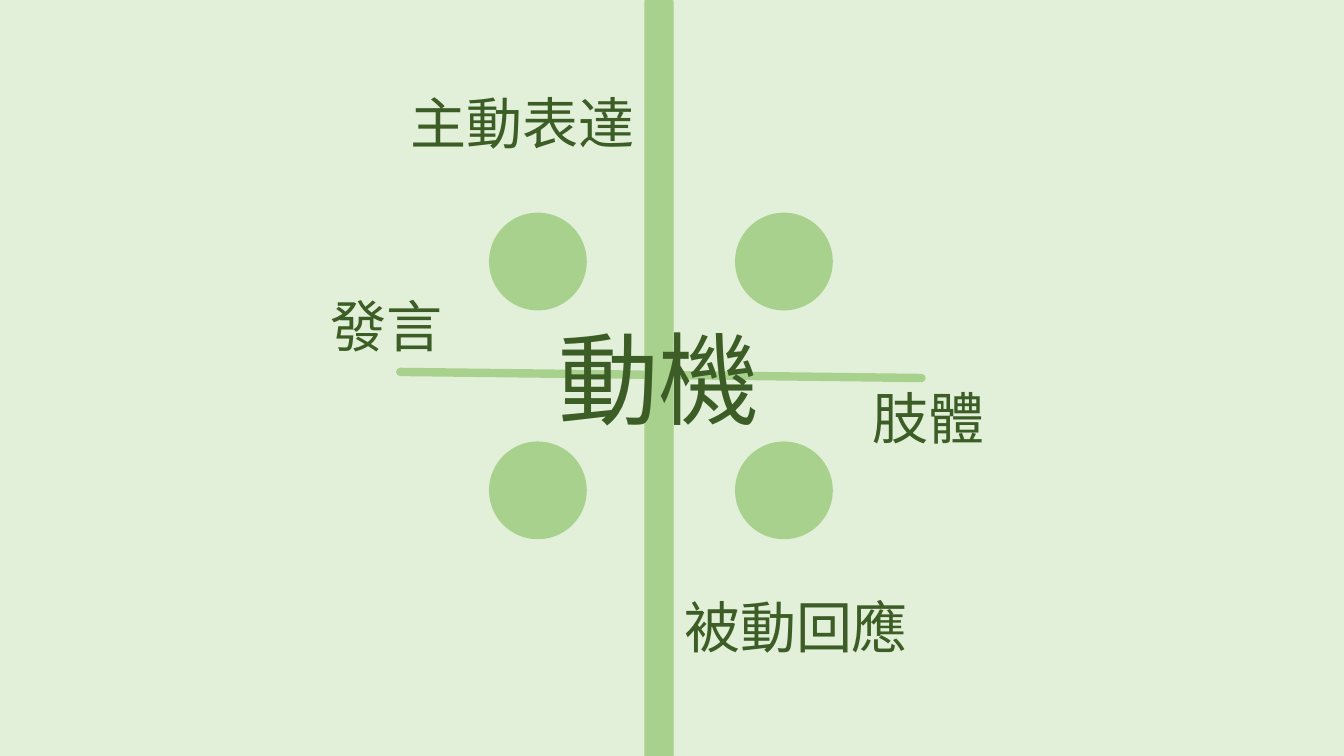
from pptx import Presentation
from pptx.dml.color import RGBColor
from pptx.enum.shapes import MSO_CONNECTOR, MSO_SHAPE
from pptx.enum.text import MSO_ANCHOR, MSO_AUTO_SIZE, PP_ALIGN
from pptx.oxml.ns import qn
from pptx.util import Inches, Pt
from lxml import etree

OVAL, ROUNDED = MSO_SHAPE.OVAL, MSO_SHAPE.ROUNDED_RECTANGLE
STRAIGHT = MSO_CONNECTOR.STRAIGHT
MIDDLE, CENTER, NO_FIT = MSO_ANCHOR.MIDDLE, PP_ALIGN.CENTER, MSO_AUTO_SIZE.NONE

COLORS = {"background": "E2F0D9", "accent": "A9D18E", "text": "3C5D25"}
FONT = "Noto Sans CJK JP"
DOT = 0.97
DOT_COLUMNS, DOT_ROWS = (4.85, 7.29), (2.11, 4.38)
AXIS_POINTS = ((3.97, 3.69), (6.56, 3.72), (9.14, 3.75))
LABELS = (
    ("主動表達", (3.96, 0.83, 2.45, 0.77)),
    ("被動回應", (6.67, 5.83, 2.45, 0.77)),
    ("發言", (3.11, 2.84, 1.44, 0.77)),
    ("肢體", (8.54, 3.75, 1.33, 0.77)),
)


def color(name):
    """Return the named palette colour."""
    return RGBColor.from_string(COLORS[name])


def write_text(sp, text, size):
    """Write one centred line of text into a shape."""
    tf = sp.text_frame
    tf.text = text
    tf.word_wrap = True
    tf.auto_size = NO_FIT
    tf.vertical_anchor = MIDDLE
    p = tf.paragraphs[0]
    p.alignment = CENTER
    p.line_spacing = 1.0
    r = p.runs[0]
    r.font.name = FONT
    r.font.size = Pt(size)
    r.font.color.rgb = color("text")
    latin = r.font._element.find(qn("a:latin"))
    ea = etree.Element(qn("a:ea"), typeface=FONT)
    latin.addnext(ea)


def add_label(s, text, box):
    """Add a label at the end of an axis."""
    write_text(s.shapes.add_textbox(*map(Inches, box)), text, 40)


def add_axis(s, start, end):
    """Add a round-capped segment of the horizontal axis."""
    line = s.shapes.add_connector(STRAIGHT, *map(Inches, start + end))
    line.line.color.rgb = color("accent")
    line.line.width = Pt(6)
    line.line._get_or_add_ln().set("cap", "rnd")
    etree.SubElement(line._element.spPr, qn("a:effectLst"))


def add_solid(s, kind, box):
    """Add a filled shape without outline."""
    sp = s.shapes.add_shape(kind, *map(Inches, box))
    sp.shadow.inherit = False
    sp.fill.solid()
    sp.fill.fore_color.rgb = color("accent")
    sp.line.fill.background()
    return sp


def add_title(s, text, box):
    """Place the title in front of the axes."""
    sp = s.shapes.title
    sp.left, sp.top, sp.width, sp.height = map(Inches, box)
    write_text(sp, text, 72)
    sp._element.getparent().append(sp._element)


def main():
    """Build the motivation quadrant slide."""
    prs = Presentation()
    prs.slide_width, prs.slide_height = Inches(13.33), Inches(7.5)
    s = prs.slides.add_slide(prs.slide_layouts[5])
    s.background.fill.solid()
    s.background.fill.fore_color.rgb = color("background")
    for text, box in LABELS:
        add_label(s, text, box)
    for start, end in zip(AXIS_POINTS, AXIS_POINTS[1:]):
        add_axis(s, start, end)
    for x in DOT_COLUMNS:
        for y in DOT_ROWS:
            add_solid(s, OVAL, (x, y, DOT, DOT))
    add_solid(s, ROUNDED, (6.39, -0.03, 0.29, 8.19))
    add_title(s, "動機", (5.42, 3.09, 2.23, 1.31))
    prs.save("out.pptx")


if __name__ == "__main__":
    main()
